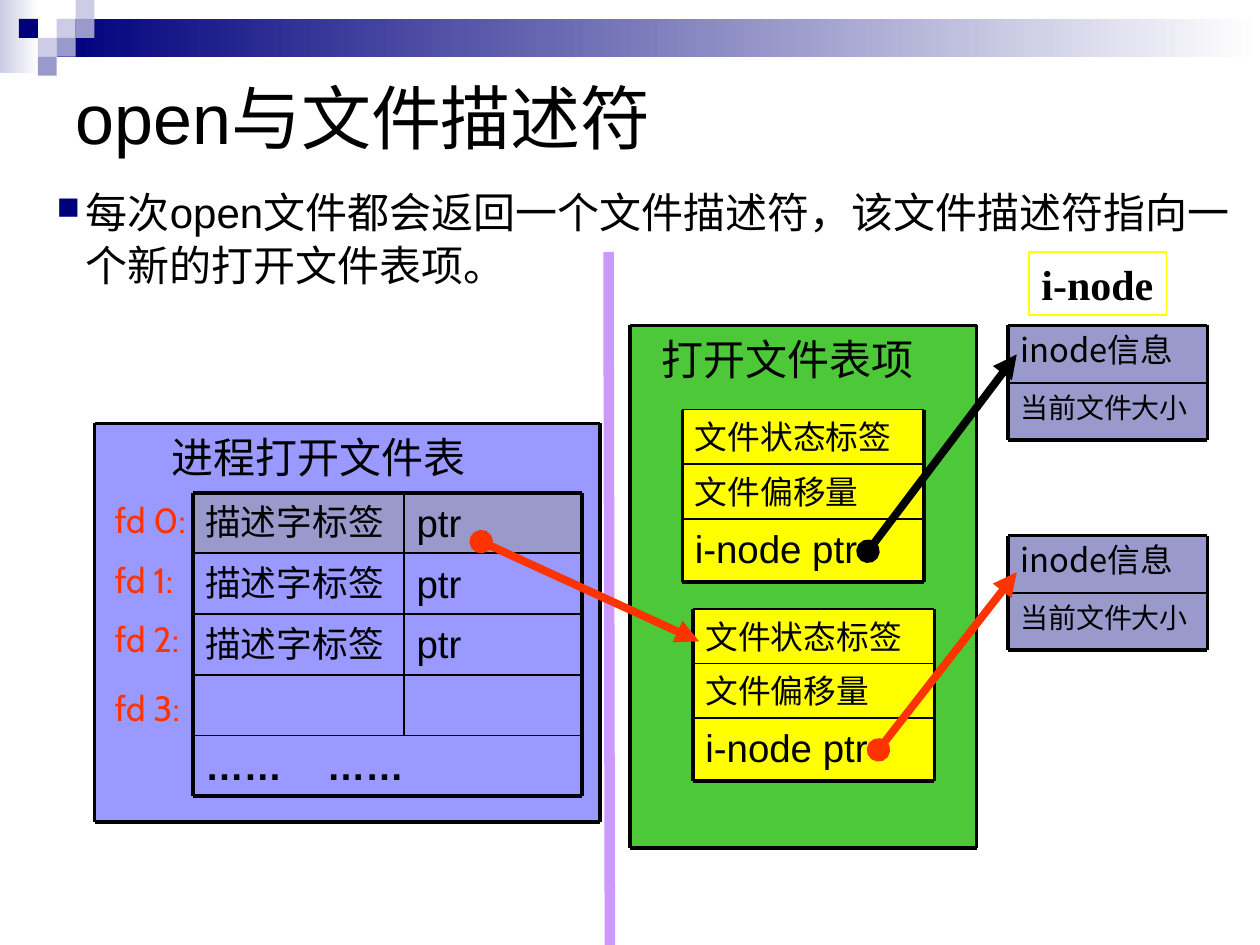
from itertools import accumulate

from lxml.etree import SubElement
from pptx import Presentation
from pptx.dml.color import RGBColor
from pptx.enum.shapes import MSO_CONNECTOR as CONNECTOR, MSO_SHAPE as SHAPE
from pptx.enum.text import MSO_ANCHOR as ANCHOR, PP_ALIGN as ALIGN
from pptx.oxml.ns import qn
from pptx.util import Pt

NAVY, LILAC, LAVENDER = "00007D", "9999CC", "CCCCE6"
BLACK, WHITE, RED, YELLOW = "000000", "FFFFFF", "FF3300", "FFFF00"
CJK_FONT = "Noto Sans CJK SC"
THICK, THIN = 2.25, 1
LEADING = 1.24  # line height of Chinese text, in font sizes

TITLE = "open与文件描述符"
BULLET = "每次open文件都会返回一个文件描述符，该文件描述符指向一个新的打开文件表项。"

# Corner motif: column and row on a square grid, colour
UNIT = 10.8
SQUARES = [(3, 1, LAVENDER), (4, 0, LAVENDER), (4, 1, LILAC), (2, 2, LAVENDER),
           (1, 1, NAVY), (3, 2, LILAC), (2, 3, LILAC)]
BANDS = [((0, 0, 22.5, 42), LAVENDER), ((32.4, 10.8, 687.6, 21.6), NAVY)]

# Large panels: box, fill, heading, heading indent
PANELS = [
    ((54, 242, 288.75, 227.5), "9999FF", "进程打开文件表", 37),
    ((360, 186, 198, 298.5), "4DC838", "打开文件表项", 11),
]

DESCRIPTOR_BOX = (110.25, 281.5)
DESCRIPTOR_COLUMNS = [120.75, 101.75]
DESCRIPTOR_ROWS = [34.7] * 5
DESCRIPTOR_CELLS = [("描述字标签", {"size": 20.4, "leading": LEADING}), ("ptr", {"size": 22})]
FILLED_ROWS = 3
FD_LABELS = [("fd 0:", 281.5), ("fd 1:", 315.4), ("fd 2:", 349.2), ("fd 3:", 388.8)]

# Stacked boxes: positions, width, fill, top rule, rows of (height, text, format)
STACKS = [
    ([(396, 348), (390, 234)], 138, YELLOW, THIN, [
        (31.2, "文件状态标签", {"size": 18.7, "leading": LEADING}),
        (31.2, "文件偏移量", {"size": 18.7, "leading": LEADING}),
        (36, "i-node ptr", {"size": 22}),
    ]),
    ([(576, 186), (576, 306)], 114, LILAC, THICK, [
        (32.75, "inode信息", {"size": 18.7, "font": CJK_FONT, "leading": LEADING - 0.1}),
        (32.75, "当前文件大小", {"size": 16, "leading": LEADING}),
    ]),
]

ARROWS = [
    ((502, 428.5), (581, 327), RED),
    ((496, 315), (581, 202.5), BLACK),
    ((275, 309.5), (399.5, 366.5), RED),
]


def rgb(color):
    return RGBColor.from_string(color)


def write(shape, text, size, font="Arial", color=BLACK, bold=False, leading=None,
          indent=0, wrap=True, anchor=ANCHOR.TOP):
    frame = shape.text_frame
    frame.word_wrap = wrap
    frame.vertical_anchor = anchor
    frame.margin_left = Pt(7.2 + indent)
    paragraph = frame.paragraphs[0]
    paragraph.alignment = ALIGN.LEFT
    paragraph.space_before = Pt(0)
    if leading:
        paragraph.line_spacing = Pt(round(size * leading, 1))
    run = paragraph.add_run()
    run.text = text
    for name, value in {"size": Pt(size), "name": font, "bold": bold}.items():
        setattr(run.font, name, value)
    run.font.color.rgb = rgb(color)
    latin = run.font._element.find(qn("a:latin"))
    east_asian = latin.makeelement(qn("a:ea"), {"typeface": CJK_FONT})
    latin.addnext(east_asian)
    return paragraph


def add_rectangle(box, fill=None, fade_to=None):
    shape = slide.shapes.add_shape(SHAPE.RECTANGLE, *map(Pt, box))
    shape.shadow.inherit = False
    shape.line.fill.background()
    if fade_to:
        shape.fill.gradient()
        shape.fill.gradient_angle = 0
        for stop, color in zip(shape.fill.gradient_stops, (fill, fade_to)):
            stop.color.rgb = rgb(color)
    elif fill:
        shape.fill.solid()
        shape.fill.fore_color.rgb = rgb(fill)
    else:
        shape.fill.background()
    return shape


def add_text(box, text, **formats):
    return write(slide.shapes.add_textbox(*map(Pt, box)), text, **formats)


def add_line(start, end, weight, color=BLACK, arrow=False):
    line = slide.shapes.add_connector(CONNECTOR.STRAIGHT, *map(Pt, (*start, *end)))
    line.line.width = Pt(weight)
    line.line.color.rgb = rgb(color)
    if arrow:
        outline = line.line._get_or_add_ln()
        SubElement(outline, qn("a:headEnd"), type="oval")
        SubElement(outline, qn("a:tailEnd"), type="triangle")
    SubElement(line._element.spPr, qn("a:effectLst"))


def add_rules(left, top, width, heights, top_weight=THICK):
    """Draw the outer frame and the rules between rows."""
    edges = list(accumulate(heights, initial=top))
    weights = [top_weight] + [THIN] * (len(heights) - 1) + [THICK]
    for y, weight in zip(edges, weights):
        add_line((left, y), (left + width, y), weight)
    for x in (left, left + width):
        add_line((x, top), (x, edges[-1]), THICK)


def add_stack(left, top, width, fill, top_weight, rows):
    heights = [height for height, _, _ in rows]
    for y, (height, text, formats) in zip(accumulate(heights, initial=top), rows):
        write(add_rectangle((left, y, width, height), fill), text, **formats)
    add_rules(left, top, width, heights, top_weight)


def add_descriptor_table():
    left, top = DESCRIPTOR_BOX
    divider = left + DESCRIPTOR_COLUMNS[0]
    width = sum(DESCRIPTOR_COLUMNS)
    edges = list(accumulate(DESCRIPTOR_ROWS, initial=top))
    for row, y in enumerate(edges[:FILLED_ROWS]):
        for x, column, (text, formats) in zip((left, divider), DESCRIPTOR_COLUMNS,
                                              DESCRIPTOR_CELLS):
            box = (x, y, column, DESCRIPTOR_ROWS[row])
            write(add_rectangle(box, LILAC if row == 0 else None), text, **formats)
    dots = add_text((left, edges[-2], width, DESCRIPTOR_ROWS[-1]), "……\t……",
                    size=22, bold=True)
    tabs = SubElement(dots._p.get_or_add_pPr(), qn("a:tabLst"))
    SubElement(tabs, qn("a:tab"), pos=str(Pt(69.5)), algn="l")
    add_rules(left, top, width, DESCRIPTOR_ROWS)
    add_line((divider, top), (divider, edges[-2]), THIN)


def add_bullet(paragraph):
    properties = paragraph._p.get_or_add_pPr()
    properties.set("marL", str(Pt(16.8)))
    properties.set("indent", str(-Pt(16.8)))
    color = SubElement(properties, qn("a:buClr"))
    SubElement(color, qn("a:srgbClr"), val=NAVY)
    SubElement(properties, qn("a:buSzPct"), val="75000")
    SubElement(properties, qn("a:buChar"), char="■")


presentation = Presentation()
presentation.slide_width, presentation.slide_height = Pt(720), Pt(540)
slide = presentation.slides.add_slide(presentation.slide_layouts[5])

for band, color in BANDS:
    add_rectangle(band, color, fade_to=WHITE)
for column, row, color in SQUARES:
    add_rectangle((column * UNIT, row * UNIT, UNIT, UNIT), color)

title = slide.shapes.title
title.left, title.top, title.width, title.height = map(Pt, (36, 12, 648, 108))
write(title, TITLE, size=40, leading=LEADING, anchor=ANCHOR.MIDDLE)

add_line((347.75, 144), (348.5, 540), 6, "CC99FF")

for box, fill, heading, indent in PANELS:
    write(add_rectangle(box, fill), heading, size=24, leading=LEADING, indent=indent)
    add_rules(*box[:3], [box[3]])

add_descriptor_table()
for label, y in FD_LABELS:
    add_text((54, y, 102, 31.5), label, size=20, font="Cabin", color=RED, indent=4.5)

for positions, width, fill, top_weight, rows in STACKS:
    for left, top in positions:
        add_stack(left, top, width, fill, top_weight, rows)

inode_label = add_rectangle((588, 144, 78.5, 36))
inode_label.line.color.rgb = rgb(YELLOW)
inode_label.line.width = Pt(0.75)
write(inode_label, "i-node", size=24, font="Times New Roman", bold=True, wrap=False)

for start, end, color in ARROWS:
    add_line(start, end, 4.5, color, arrow=True)

add_bullet(add_text((25.2, 102.25, 694.8, 65), BULLET, size=24, leading=LEADING))

presentation.save("out.pptx")
